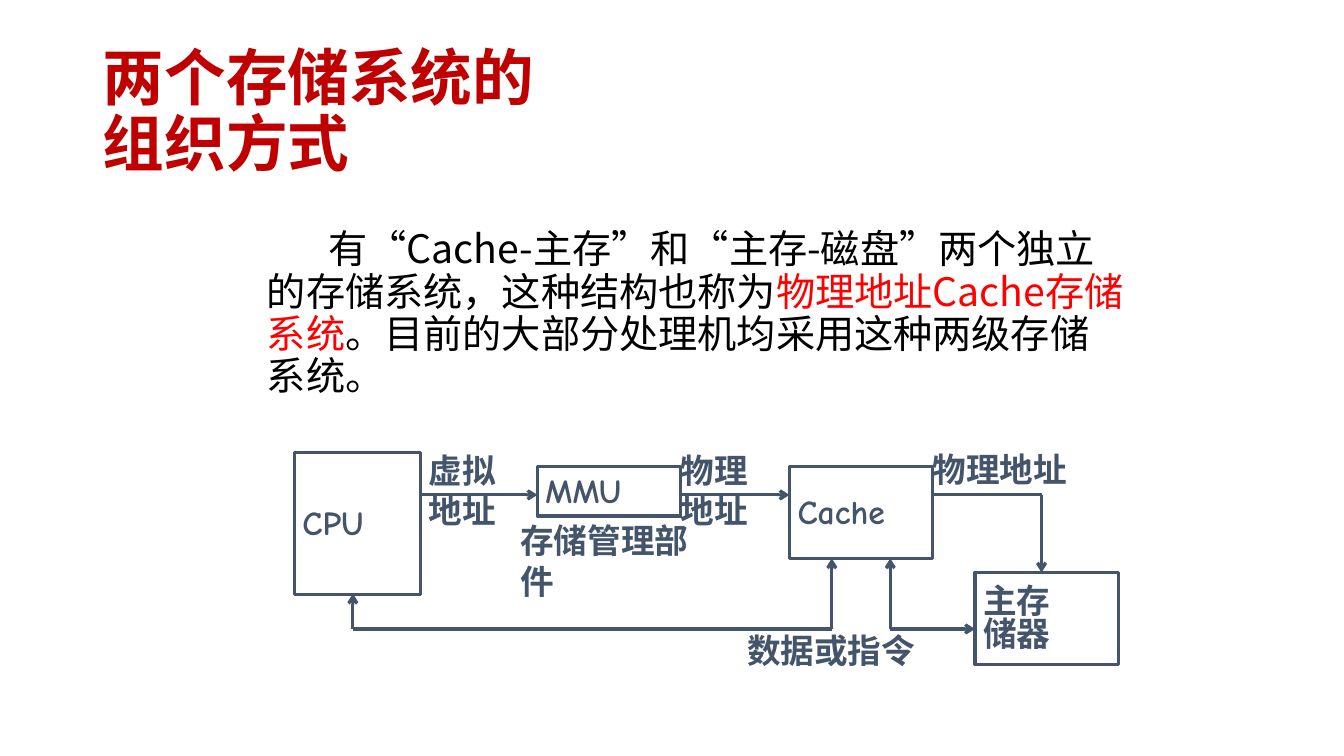
"""Build a slide on how two storage systems are organised."""
from lxml.etree import SubElement
from pptx import Presentation
from pptx.dml.color import RGBColor
from pptx.enum.shapes import MSO_CONNECTOR as Connector, MSO_SHAPE as Shape
from pptx.enum.text import MSO_ANCHOR as Anchor, PP_ALIGN as Align
from pptx.oxml.ns import qn
from pptx.util import Inches, Pt

TITLE_RED = RGBColor(0xC0, 0x00, 0x00)
RED = RGBColor(0xFF, 0x00, 0x00)
BLACK = RGBColor(0x00, 0x00, 0x00)
SLATE = RGBColor(0x44, 0x54, 0x6A)
TEXT_FONT = "Noto Sans CJK SC"
DIAGRAM_FONT = "Comic Neue"


def style_span(span, font_name, size, color, bold):
    span.font.name = font_name
    span.font.size = Pt(size)
    span.font.color.rgb = color
    span.font.bold = bold
    SubElement(span.font._element, qn("a:ea"), typeface=font_name)


def write_label(box, text, spacing):
    frame = box.text_frame
    frame.text = text
    frame.word_wrap = False
    frame.vertical_anchor = Anchor.MIDDLE
    frame.margin_left = Inches(0.08)
    frame.margin_top = frame.margin_right = Inches(0.04)
    frame.margin_bottom = 0
    para = frame.paragraphs[0]
    para.alignment = Align.LEFT
    para.line_spacing = spacing
    for span in para.runs:
        style_span(span, DIAGRAM_FONT, 24, SLATE, True)


deck = Presentation()
deck.slide_width = Inches(13.33)
deck.slide_height = Inches(7.5)
page = deck.slides.add_slide(deck.slide_layouts[5])

title = page.shapes.title
title.left, title.top = Inches(0.92), Inches(0.4)
title.width, title.height = Inches(11.5), Inches(1.45)
title.text_frame.text = "两个存储系统的\v组织方式"
title.text_frame.vertical_anchor = Anchor.MIDDLE
para = title.text_frame.paragraphs[0]
para.alignment = Align.LEFT
para.line_spacing = 0.9
for span in para.runs:
    style_span(span, TEXT_FONT, 44, TITLE_RED, True)

body = page.shapes.add_textbox(Inches(2.55), Inches(2.18), Inches(8.7), Inches(1.97))
body.text_frame.word_wrap = True
body.text_frame.margin_top = Inches(0.1)
para = body.text_frame.paragraphs[0]
para.line_spacing = 0.9
para._p.get_or_add_pPr().set("indent", str(Inches(0.61)))
for text, color in [
    ("有“Cache-主存”和“主存-磁盘”两个独立的存储系统，这种结构也称为", BLACK),
    ("物理地址Cache存储系统", RED),
    ("。目前的大部分处理机均采用这种两级存储系统。", BLACK),
]:
    span = para.add_run()
    span.text = text
    style_span(span, TEXT_FONT, 28, color, False)

for text, left, top, width, height in [
    ("CPU", 2.92, 4.49, 1.25, 1.41),
    ("MMU", 5.33, 4.63, 1.42, 0.49),
    ("Cache", 7.83, 4.63, 1.42, 0.91),
    ("主存\v储器", 9.67, 5.68, 1.42, 0.91),
]:
    unit = page.shapes.add_shape(
        Shape.RECTANGLE, Inches(left), Inches(top), Inches(width), Inches(height))
    unit.shadow.inherit = False
    unit.fill.background()
    unit.line.color.rgb = SLATE
    unit.line.width = Pt(2.25)
    write_label(unit, text, 0.8)

for x1, y1, x2, y2, has_arrow in [
    (4.17, 4.91, 5.33, 4.91, True),
    (6.75, 4.91, 7.83, 4.91, True),
    (9.25, 4.91, 10.33, 4.91, False),
    (10.33, 4.91, 10.33, 5.68, True),
    (8.25, 6.24, 3.5, 6.24, False),
    (3.5, 6.24, 3.5, 5.89, True),
    (8.25, 6.24, 8.25, 5.54, True),
    (8.83, 6.24, 8.83, 5.54, True),
    (8.83, 6.24, 9.67, 6.24, True),
]:
    link = page.shapes.add_connector(
        Connector.STRAIGHT, Inches(x1), Inches(y1), Inches(x2), Inches(y2))
    link.line.color.rgb = SLATE
    link.line.width = Pt(2.25)
    if has_arrow:
        SubElement(link.line._get_or_add_ln(), qn("a:tailEnd"), type="arrow")
    SubElement(link._element.spPr, qn("a:effectLst"))

for text, left, top, width, height in [
    ("虚拟\v地址", 4.17, 4.46, 1.08, 0.77),
    ("物理\v地址", 6.67, 4.46, 1.08, 0.77),
    ("物理地址", 9.17, 4.42, 2, 0.42),
    ("存储管理部件", 5.08, 5.33, 2, 0.42),
    ("数据或指令", 7.33, 6.18, 2.33, 0.49),
]:
    label = page.shapes.add_textbox(
        Inches(left), Inches(top), Inches(width), Inches(height))
    write_label(label, text, 1.0)

deck.save("out.pptx")
